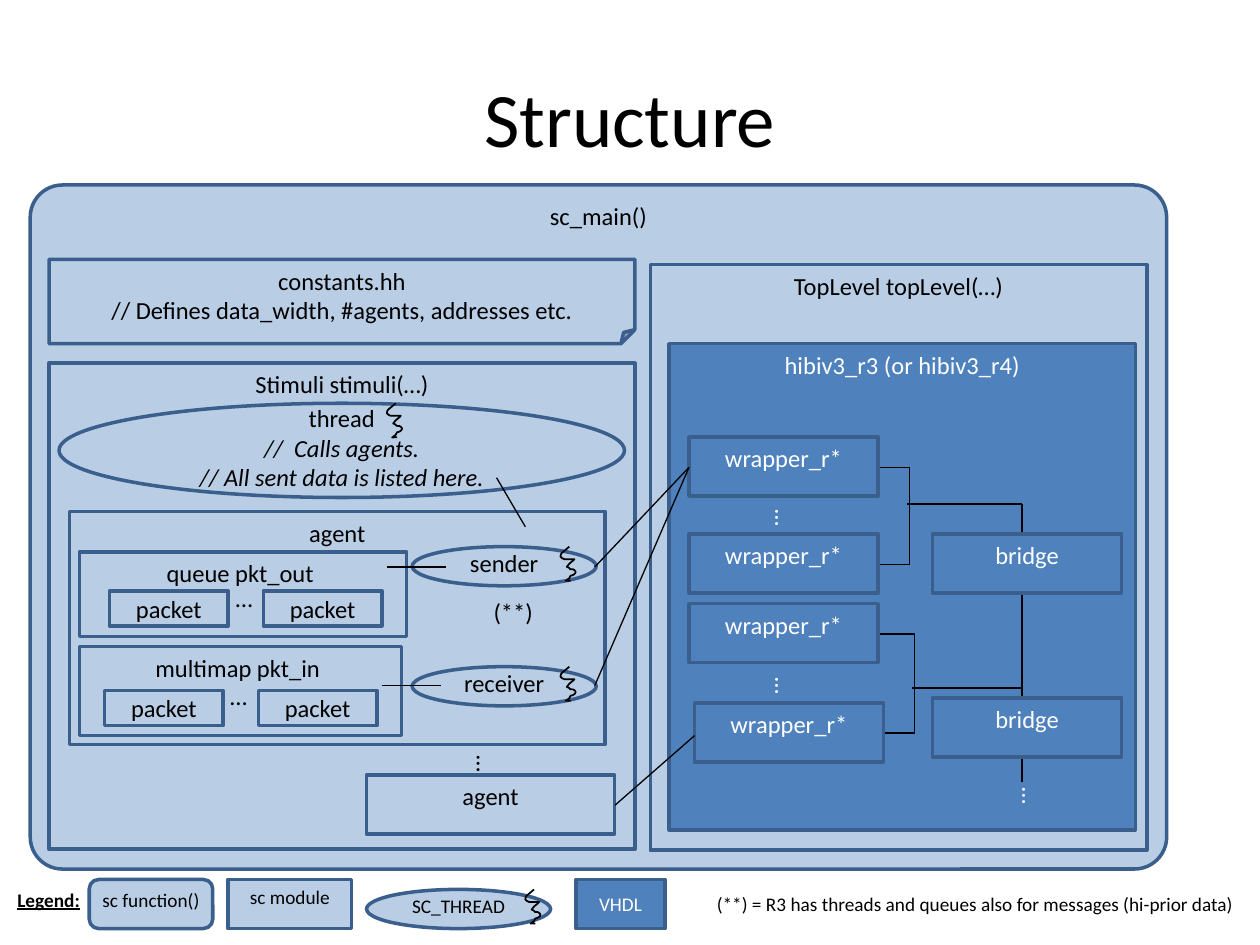
from dataclasses import dataclass

from lxml import etree
from pptx import Presentation
from pptx.dml.color import RGBColor
from pptx.enum import shapes, text
from pptx.oxml import ns
from pptx.util import Cm, Pt

HUES = {"pale": "B9CDE5", "blue": "4F81BD", "edge": "3A5F8C",
        "black": "000000", "white": "FFFFFF"}
FONT = "Calibri"
KIND = shapes.MSO_SHAPE
RECT, OVAL, ROUND = KIND.RECTANGLE, KIND.OVAL, KIND.ROUNDED_RECTANGLE
MID = text.MSO_ANCHOR.MIDDLE
TOP = text.MSO_ANCHOR.TOP


@dataclass
class Box:
    words: str
    x: float
    y: float
    w: float
    h: float
    kind: int = RECT
    fill: str = "pale"
    size: int = 14
    mid: bool = False
    wrap: bool = True
    slant: bool = False
    curve: float = 0


@dataclass
class Wire:
    x1: float
    y1: float
    x2: float
    y2: float
    via: float = 0


@dataclass
class Note:
    words: str
    x: float
    y: float
    w: float = 0.86
    h: float = 0.86
    hue: str = "black"
    turn: int = 0
    size: int = 14
    bold: bool = False


def tint(name: str) -> RGBColor:
    return RGBColor.from_string(HUES[name])


def add_run(para, words: str, size: int, hue: str):
    run = para.add_run()
    run.text = words
    run.font.name = FONT
    run.font.size = Pt(size)
    run.font.color.rgb = tint(hue)
    return run


def draw_box(tree, box: Box) -> None:
    shape = tree.add_shape(box.kind, Cm(box.x), Cm(box.y), Cm(box.w), Cm(box.h))
    shape.shadow.inherit = False
    shape.fill.solid()
    shape.fill.fore_color.rgb = tint(box.fill)
    shape.line.color.rgb = tint("edge")
    shape.line.width = Pt(2)
    if box.curve:
        shape.adjustments[0] = box.curve
    frame = shape.text_frame
    frame.word_wrap = box.wrap
    frame.vertical_anchor = MID if box.mid else TOP
    if box.kind == OVAL:
        frame.margin_top = Cm(0)
    hue = "white" if box.fill == "blue" else "black"
    for num, words in enumerate(box.words.split("\n")):
        para = frame.add_paragraph() if num else frame.paragraphs[0]
        para.alignment = text.PP_ALIGN.CENTER
        run = add_run(para, words, box.size, hue)
        if box.slant and num:
            run.font.italic = True


def draw_wire(tree, wire: Wire) -> None:
    links = shapes.MSO_CONNECTOR
    link = tree.add_connector(links.ELBOW if wire.via else links.STRAIGHT,
                              Cm(wire.x1), Cm(wire.y1), Cm(wire.x2), Cm(wire.y2))
    link.line.color.rgb = tint("black")
    link.line.width = Pt(0.75)
    props = link._element.spPr
    etree.SubElement(props, ns.qn("a:effectLst"))
    if wire.via:
        ratio = (wire.via - wire.x1) / (wire.x2 - wire.x1)
        guides = props.find(".//" + ns.qn("a:avLst"))
        etree.SubElement(guides, ns.qn("a:gd"), name="adj1",
                         fmla=f"val {round(ratio * 100000)}")


def draw_note(tree, note: Note) -> None:
    shape = tree.add_textbox(Cm(note.x), Cm(note.y), Cm(note.w), Cm(note.h))
    shape.rotation = note.turn
    frame = shape.text_frame
    frame.word_wrap = False
    frame.auto_size = text.MSO_AUTO_SIZE.SHAPE_TO_FIT_TEXT
    run = add_run(frame.paragraphs[0], note.words, note.size, note.hue)
    if note.bold:
        run.font.bold = True
        run.font.underline = True


CURL = [(5, 2), (3, 3), (1, 5), (0, 5), (0, 8), (0, 8), (0, 8), (0, 9), (1, 9),
        (2, 10), (2, 10), (3, 10), (6, 10), (8, 10), (11, 10),
        (7, 14), (8, 12), (5, 16), (6, 17), (6, 17), (7, 17),
        (7, 18), (8, 18), (9, 18), (9, 18), (10, 18), (10, 18),
        (11, 19), (12, 19), (12, 20), (12, 22), (9, 23), (8, 23),
        (8, 24), (8, 24), (7, 25), (4, 28), (2, 27), (8, 27)]


def draw_curl(tree, x: float, y: float) -> None:
    pen = tree.build_freeform(7, 0, scale=Cm(1) / 39.37)
    pen.add_line_segments(CURL, close=False)
    shape = pen.convert_to_shape(Cm(x), Cm(y))
    shape.shadow.inherit = False
    shape.fill.background()
    shape.line.color.rgb = tint("black")
    shape.line.width = Pt(1)
    route = shape._element.find(".//" + ns.qn("a:path"))
    steps = route.findall(ns.qn("a:lnTo"))
    for num in range(0, len(steps), 3):
        bend = etree.SubElement(route, ns.qn("a:cubicBezTo"))
        for step in steps[num:num + 3]:
            bend.append(step[0])
            route.remove(step)


FRAMES = [
    Box("sc_main()", 0.61, 3.73, 22.91, 13.79, ROUND, curve=0.047),
    Box("TopLevel topLevel(…)", 13.11, 5.33, 10.01, 11.81),
    Box("Stimuli stimuli(…)", 0.99, 7.32, 11.81, 9.8),
    Box("hibiv3_r3 (or hibiv3_r4)", 13.49, 6.93, 9.4, 9.8, fill="blue"),
    Box("agent", 1.4, 10.31, 10.8, 4.7),
    Box("agent", 7.39, 15.62, 5, 1.19),
]
BUS = [
    Wire(17.7, 11.38, 17.74, 9.42, 18.34),
    Wire(17.81, 14.78, 17.7, 12.78, 18.44),
    Wire(20.6, 10.16, 20.6, 15.77),
    Wire(18.29, 10.16, 20.6, 10.16),
    Wire(18.39, 13.87, 20.6, 13.87),
]
PARTS = [Box("wrapper_r*", x, y, 3.81, 1.19, fill="blue")
         for x, y in [(13.89, 8.81), (13.89, 10.77), (13.89, 12.17), (14, 14.17)]]
PARTS += [Box("bridge", 18.8, y, 3.81, 1.19, fill="blue") for y in (10.77, 14.07)]
PARTS += [Box(name, 8.31, y, 3.71, 0.79, OVAL, mid=True)
          for name, y in [("sender", 11.02), ("receiver", 13.44)]]
PARTS += [
    Box("queue pkt_out ", 1.6, 11.13, 6.6, 1.7, wrap=False),
    Box("multimap pkt_in ", 1.6, 13.03, 6.5, 1.8, wrap=False),
]
PARTS += [Box("packet", x + gap, y, 2.39, 0.71, mid=True)
          for x, y in [(2.21, 11.91), (2.11, 13.92)] for gap in (3.1, 0)]
PARTS += [
    Box("thread\n//  Calls agents.\n// All sent data is listed here.",
        1.19, 8.13, 11.4, 1.9, OVAL, mid=True, wrap=False, slant=True),
    Box("constants.hh\n// Defines data_width, #agents, addresses etc.",
        0.99, 5.23, 11.81, 1.7, KIND.FOLDED_CORNER),
    Box("sc function()", 1.8, 17.73, 2.49, 0.99, ROUND, size=11, wrap=False,
        curve=0.192),
    Box("sc module", 4.6, 17.73, 2.49, 0.99, size=11),
    Box("SC_THREAD", 7.39, 17.93, 3.71, 0.79, OVAL, size=11, mid=True, wrap=False),
    Box("VHDL", 11.61, 17.73, 1.8, 0.99, fill="blue", size=11, mid=True),
]
WIRES = [
    Wire(11.99, 11.43, 13.89, 9.42),
    Wire(13.89, 9.42, 11.99, 13.82),
    Wire(12.4, 16.23, 14, 14.83),
    Wire(7.8, 11.43, 8.99, 11.43),
    Wire(7.7, 13.82, 8.89, 13.82),
    Wire(10.01, 9.63, 10.59, 10.62),
]
CURLS = [(11.3, 11.02), (11.3, 13.44), (7.8, 8.13), (10.59, 17.93)]
NOTES = [Note("…", x, y, hue="white", turn=90)
         for x, y in [(15.39, 10.03), (15.39, 13.41), (20.37, 15.62)]]
NOTES += [
    Note("…", 9.37, 14.99, turn=90),
    Note("…", 4.5, 11.63),
    Note("…", 4.39, 13.61),
    Note("(**)", 9.7, 11.91, 1.32),
    Note("Legend:", 0.1, 17.78, 1.78, 0.74, size=11, bold=True),
    Note("(**) = R3 has threads and queues also for messages (hi-prior data)",
         14.2, 17.86, 11, 0.74, size=11),
]

deck = Presentation()
deck.slide_width, deck.slide_height = Cm(25.4), Cm(19.05)
slide = deck.slides.add_slide(deck.slide_layouts[5])
title = slide.shapes.title
title.left, title.top, title.width, title.height = Cm(1.27), Cm(0.76), Cm(22.86), Cm(3.18)
title.text_frame.vertical_anchor = MID
head = title.text_frame.paragraphs[0]
head.alignment = text.PP_ALIGN.CENTER
add_run(head, "Structure", 44, "black")

for draw, items in [(draw_box, FRAMES), (draw_wire, BUS), (draw_box, PARTS),
                    (draw_wire, WIRES), (draw_note, NOTES)]:
    for item in items:
        draw(slide.shapes, item)
for x, y in CURLS:
    draw_curl(slide.shapes, x, y)

deck.save("out.pptx")
